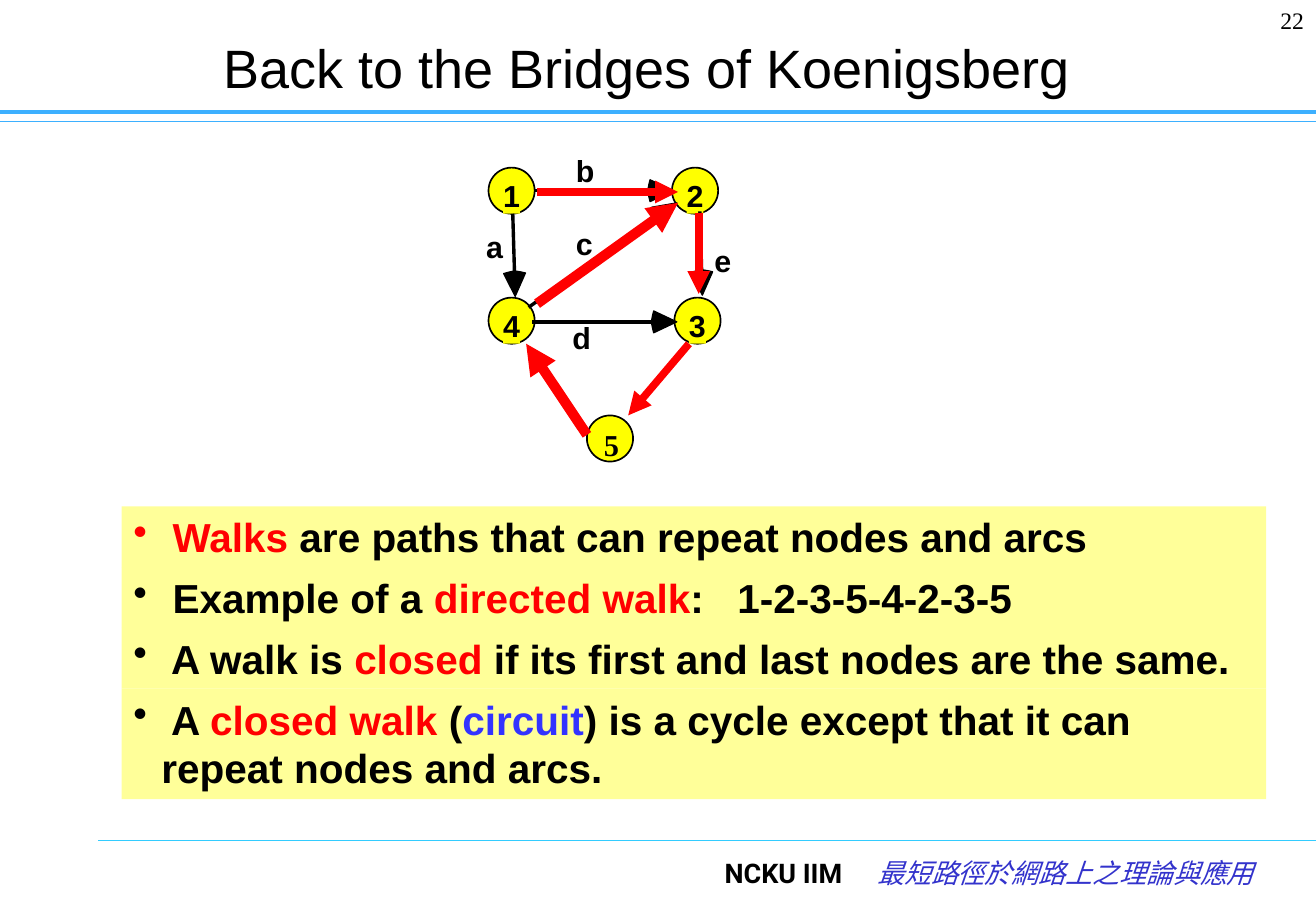
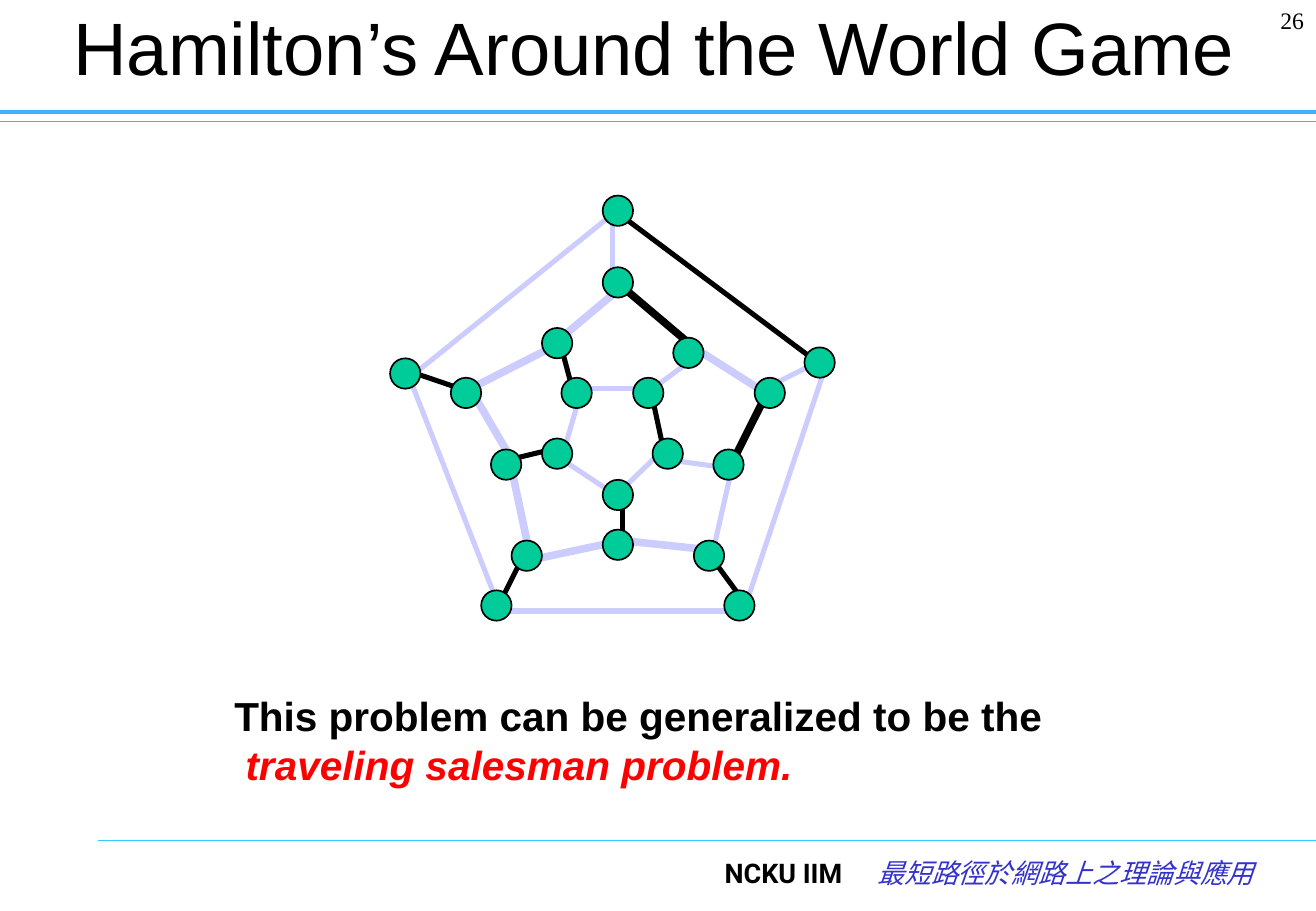
from math import hypot

from lxml import etree
from pptx import Presentation
from pptx.dml.color import RGBColor
from pptx.enum.shapes import MSO_CONNECTOR, MSO_SHAPE
from pptx.enum.text import MSO_ANCHOR, MSO_AUTO_SIZE, PP_ALIGN
from pptx.oxml.ns import qn
from pptx.util import Inches, Pt

STRAIGHT = MSO_CONNECTOR.STRAIGHT
OVAL = MSO_SHAPE.OVAL
MIDDLE = MSO_ANCHOR.MIDDLE
FIXED = MSO_AUTO_SIZE.NONE
LEFT, CENTER, RIGHT = PP_ALIGN.LEFT, PP_ALIGN.CENTER, PP_ALIGN.RIGHT

BLACK = RGBColor(0x00, 0x00, 0x00)
RED = RGBColor(0xFF, 0x00, 0x00)
BLUE = RGBColor(0x33, 0x33, 0xFF)
INDIGO = RGBColor(0x33, 0x33, 0xCC)
SKY = RGBColor(0x3D, 0xB0, 0xFF)
CYAN = RGBColor(0x33, 0xCC, 0xFF)
YELLOW = RGBColor(0xFF, 0xFF, 0x00)
CREAM = RGBColor(0xFF, 0xFF, 0x99)
LILAC = RGBColor(0xCC, 0xCC, 0xFF)
GREEN = RGBColor(0x00, 0xCC, 0x99)

SANS, SERIF = "Arial", "Times New Roman"
WIDE, HIGH = 10.83, 7.5
HEAD = 0.19
HANG = 0.23


class Deck:
    def __init__(self):
        self.file = Presentation()
        self.file.slide_width = Inches(WIDE)
        self.file.slide_height = Inches(HIGH)
        self.shapes = None

    def start(self, title, box, size, page):
        slide = self.file.slides.add_slide(self.file.slide_layouts[5])
        self.shapes = slide.shapes
        head = self.shapes.title
        head.left, head.top, head.width, head.height = map(Inches, box)
        frame = head.text_frame
        frame.text = title
        frame.auto_size = FIXED
        frame.vertical_anchor = MIDDLE
        para = frame.paragraphs[0]
        para.alignment = CENTER
        self.style(para.runs[0], size, BLACK, SANS)
        self.line((0, 1), (WIDE, 1), SKY, 0.75)
        self.line((0, 0.92), (WIDE, 0.92), SKY, 2.5)
        self.line((0.81, 6.92), (WIDE, 6.92), CYAN, 0.75)
        self.text((5, 7, 2.03, 0.5), [("NCKU IIM", BLACK)], 16, "Roboto",
                  bold=True, align=RIGHT)
        self.text((7.03, 7, 3.39, 0.5), [("最短路徑於網路上之理論與應用", INDIGO)],
                  16, "Courier New", slant=True, align=RIGHT)
        self.text((9.93, 0, 0.9, 0.5), [(page, BLACK)], 14, SERIF, align=RIGHT)

    def style(self, run, size, color, face, bold=False, slant=False):
        font = run.font
        font.size, font.name = Pt(size), face
        font.bold, font.italic = bold, slant
        font.color.rgb = color

    def text(self, box, parts, size, face=SANS, bold=False, slant=False,
             align=LEFT, fill=None):
        shape = self.shapes.add_textbox(*map(Inches, box))
        if fill is not None:
            shape.fill.solid()
            shape.fill.fore_color.rgb = fill
        frame = shape.text_frame
        frame.word_wrap = True
        para = frame.paragraphs[0]
        para.alignment = align
        for words, color in parts:
            run = para.add_run()
            run.text = words
            self.style(run, size, color, face, bold, slant)
        return frame

    def label(self, x, y, words, face=SANS, fill=None):
        frame = self.text((x, y, 0.14, 0.3), [(words, BLACK)], 18, face,
                          bold=True, fill=fill)
        frame.word_wrap = False
        frame.margin_left = frame.margin_right = 0
        frame.margin_top = frame.margin_bottom = 0

    def bullet(self, box, parts, stop=None):
        frame = self.text(box, parts, 24, bold=True, fill=CREAM)
        props = frame.paragraphs[0]._p.get_or_add_pPr()
        props.set("marL", str(Inches(HANG)))
        props.set("indent", str(-Inches(HANG)))
        etree.SubElement(props, qn("a:buChar"), char="•")
        if stop:
            tabs = etree.SubElement(props, qn("a:tabLst"))
            etree.SubElement(tabs, qn("a:tab"), pos=str(Inches(stop)), algn="l")

    def line(self, start, end, color, width, arrow=False):
        link = self.shapes.add_connector(STRAIGHT, *map(Inches, start + end))
        link.line.color.rgb = color
        link.line.width = Pt(width)
        props = link.element.spPr
        if arrow:
            etree.SubElement(props.find(qn("a:ln")), qn("a:tailEnd"), type="triangle")
        etree.SubElement(props, qn("a:effectLst"))

    def paint(self, shape, fill, width):
        shape.shadow.inherit = False
        shape.fill.solid()
        shape.fill.fore_color.rgb = fill
        shape.line.color.rgb = BLACK
        shape.line.width = Pt(width)

    def disc(self, x, y, size, fill):
        shape = self.shapes.add_shape(OVAL, *map(Inches, (x, y, size, size)))
        self.paint(shape, fill, 1)

    def arc(self, start, tip):
        (x, y), (a, b) = start, tip
        span = hypot(a - x, b - y)
        u, v = (a - x) / span, (b - y) / span
        self.line(start, (a - HEAD * u, b - HEAD * v), BLACK, 2)
        rim = ((HEAD, 0.09), (0.2, 0.05), (0.21, 0), (0.2, -0.05), (HEAD, -0.09))
        form = self.shapes.build_freeform(Inches(a), Inches(b))
        form.add_line_segments([(Inches(a - back * u - side * v),
                                 Inches(b - back * v + side * u))
                                for back, side in rim], close=True)
        self.paint(form.convert_to_shape(), BLACK, 0.75)


def bridges(deck):
    deck.start("Back to the Bridges of Koenigsberg", (1.08, 0.17, 8.5, 0.77), 32, "22")
    for name, x, y in (("2", 5.53, 1.38), ("3", 5.55, 2.45),
                       ("4", 4.02, 2.45), ("1", 4.02, 1.38)):
        deck.disc(x, y, 0.38, YELLOW)
        deck.label(x + 0.12, y + 0.08, name, fill=YELLOW)
    for start, tip in (((4.4, 1.57), (5.54, 1.57)), ((4.38, 2.65), (5.57, 2.65)),
                       ((5.76, 1.74), (5.78, 2.43)), ((4.22, 1.76), (4.24, 2.44)),
                       ((4.35, 2.53), (5.57, 1.67))):
        deck.arc(start, tip)
    for name, x, y in (("a", 4, 1.88), ("b", 4.74, 1.25), ("c", 4.74, 1.85),
                       ("d", 4.71, 2.63), ("e", 5.88, 1.99)):
        deck.label(x, y, name)
    deck.disc(4.83, 3.42, 0.38, YELLOW)
    deck.label(4.97, 3.51, "5", SERIF)

    points = (
        [(" Walks", RED), (" are paths that can repeat nodes and arcs", BLACK)],
        [(" Example of a ", BLACK), ("directed walk", RED),
         (":\t1-2-3-5-4-2-3-5", BLACK)],
        [(" A walk is ", BLACK), ("closed", RED),
         (" if its first and last nodes are the same.", BLACK)],
        [(" A ", BLACK), ("closed walk", RED), (" (", BLACK), ("circuit", BLUE),
         (") is a cycle except that it can repeat nodes and arcs.", BLACK)],
    )
    for row, (parts, high, stop) in enumerate(
            zip(points, (0.5, 0.5, 0.5, 0.91), (None, 4.97, None, None))):
        deck.bullet((1, 4.17 + 0.5 * row, 9.42, high), parts, stop)

    for start, end, width in (((4.42, 1.58), (5.58, 1.58), 4.5),
                              ((4.83, 3.58), (4.33, 2.83), 6),
                              ((4.42, 2.5), (5.58, 1.67), 6),
                              ((5.75, 1.75), (5.75, 2.42), 4.5),
                              ((5.67, 2.83), (5.17, 3.42), 4.5)):
        deck.line(start, end, RED, width, arrow=True)


def world(deck):
    deck.start("Hamilton’s Around the World Game", (0.32, 0, 10.13, 0.75), 44, "26")
    edges = (
        (LILAC, 4.5, (
            (5.12, 2.36, 4.62, 2.78), (4.54, 2.86, 3.87, 3.2),
            (3.87, 3.2, 4.21, 3.78), (4.21, 3.86, 4.37, 4.61),
            (4.37, 4.61, 5.12, 4.45), (5.12, 4.45, 5.87, 4.53),
            (6.37, 3.28, 5.71, 2.86))),
        (LILAC, 3, (
            (5.87, 4.53, 6.04, 3.78), (4.79, 3.2, 5.29, 3.2),
            (5.46, 3.7, 5.12, 4.03), (5.12, 4.11, 4.62, 3.78),
            (4.62, 3.78, 4.79, 3.2), (3.37, 3.11, 5.12, 1.7),
            (6.79, 3.03, 6.12, 5.03), (6.12, 5.03, 4.12, 5.03),
            (4.12, 5.03, 3.37, 3.11), (5.04, 1.7, 5.04, 2.28),
            (6.79, 2.95, 6.29, 3.2), (5.37, 3.2, 5.71, 2.95),
            (5.46, 3.78, 6.04, 3.86))),
        (BLACK, 4.5, ((6.04, 3.78, 6.29, 3.28), (5.71, 2.86, 5.12, 2.36))),
        (BLACK, 3, (
            (5.37, 3.28, 5.46, 3.7), (5.12, 1.78, 6.79, 3.03),
            (3.29, 3.03, 3.79, 3.2), (4.12, 4.95, 4.29, 4.61),
            (6.12, 4.95, 5.87, 4.61), (4.21, 3.78, 4.54, 3.7),
            (4.62, 2.86, 4.71, 3.2), (5.12, 4.11, 5.12, 4.45))),
    )
    for color, width, ends in edges:
        for end in ends:
            deck.line(end[:2], end[2:], color, width)
    for x, y in ((3.21, 2.95), (4.96, 1.61), (4.96, 2.2), (4.46, 2.7), (3.71, 3.11),
                 (4.62, 3.11), (4.46, 3.61), (5.21, 3.11), (5.37, 3.61), (4.96, 3.95),
                 (4.04, 3.7), (4.21, 4.45), (4.96, 4.36), (5.71, 4.45), (5.87, 3.7),
                 (6.21, 3.11), (6.62, 2.86), (5.96, 4.86), (3.96, 4.86), (5.54, 2.78)):
        deck.disc(x, y, 0.25, GREEN)
    frame = deck.text((1.83, 5.64, 7.17, 0.91),
                      [("This problem can be generalized to be the", BLACK)],
                      24, bold=True)
    para = frame.paragraphs[0]
    para.add_line_break()
    run = para.add_run()
    run.text = " traveling salesman problem."
    deck.style(run, 24, RED, SANS, bold=True, slant=True)


def main():
    deck = Deck()
    bridges(deck)
    world(deck)
    deck.file.save("out.pptx")


if __name__ == "__main__":
    main()
